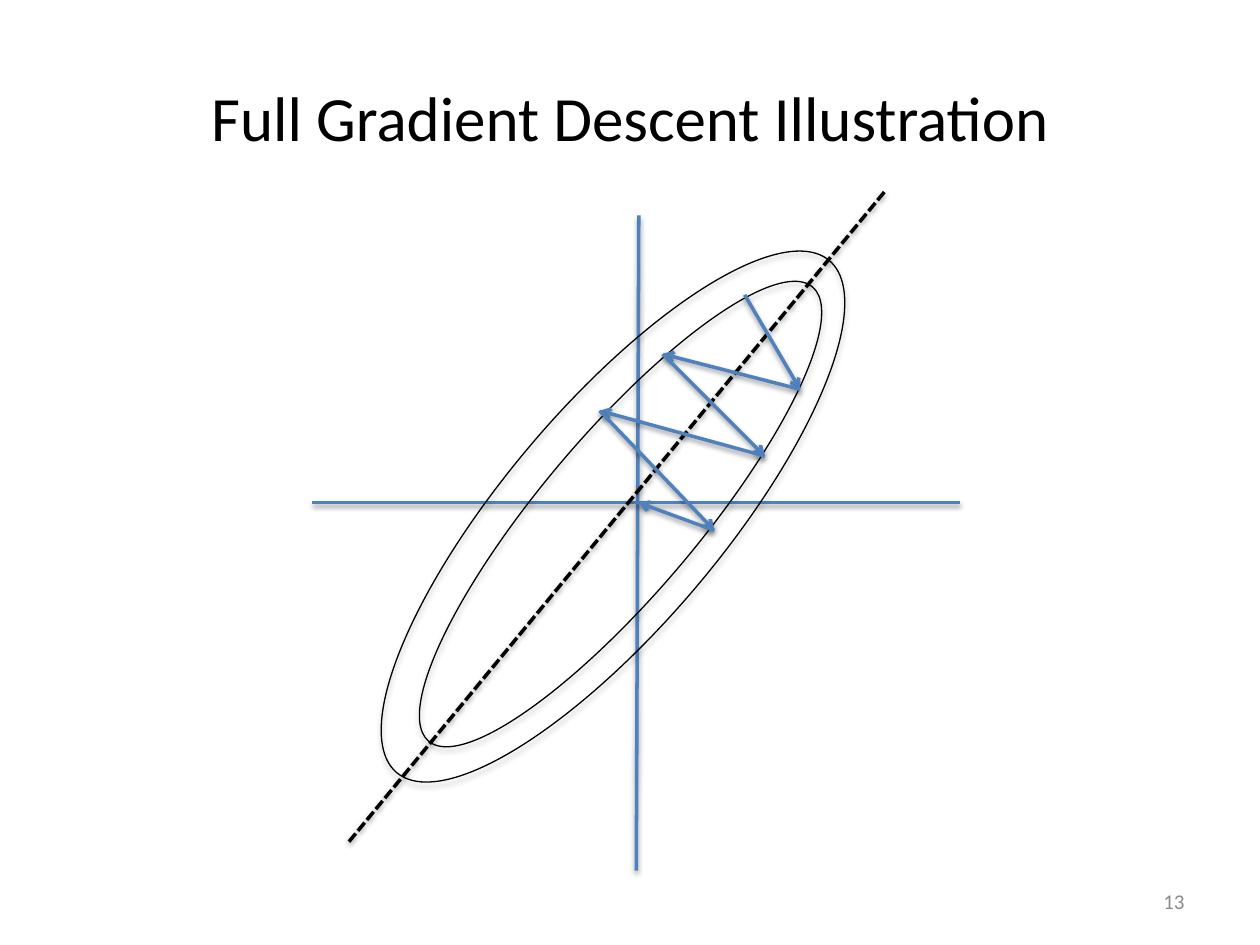
from itertools import pairwise
from lxml import etree
from pptx import Presentation
from pptx.dml.color import RGBColor
from pptx.enum import dml, shapes, text
from pptx.oxml import ns
from pptx.util import Inches, Pt

COLORS = {"axis": "4F81BD", "ink": "000000", "number": "8C8C8C"}
TITLE = "Full Gradient Descent Illustration"
NUMBER = "13"
AXES = [((5.07, 1.71), (5.05, 6.91)), ((2.48, 3.99), (7.62, 3.99))]
CONTOURS = [(4, 1.44, 1.73, 5.32), (4.3, 1.72, 1.25, 4.72)]
TILT = 40.2
VALLEY = ((2.77, 6.68), (7.03, 1.51))
DESCENT = [(5.91, 2.34), (6.35, 3.09), (5.26, 2.81), (6.07, 3.62),
           (4.76, 3.26), (5.67, 4.21), (5.07, 3.99)]


def color(name):
    return RGBColor.from_string(COLORS[name])


def add_shadow(sp, alpha, dist):
    effects = etree.SubElement(sp._element.spPr, ns.qn("a:effectLst"))
    shadow = etree.SubElement(
        effects, ns.qn("a:outerShdw"), blurRad=str(Pt(3.1)), dist=str(Pt(dist)),
        dir="5400000", rotWithShape="0")
    ink = etree.SubElement(shadow, ns.qn("a:srgbClr"), val=COLORS["ink"])
    etree.SubElement(ink, ns.qn("a:alpha"), val=str(alpha * 1000))


def add_line(slide, start, end, name="axis", dash=None, arrow=False):
    sp = slide.shapes.add_connector(
        shapes.MSO_CONNECTOR.STRAIGHT, *map(Inches, start + end))
    sp.line.color.rgb = color(name)
    sp.line.width = Pt(2)
    if dash:
        sp.line.dash_style = dash
    if arrow:
        etree.SubElement(sp.line._get_or_add_ln(), ns.qn("a:tailEnd"), type="arrow")
    add_shadow(sp, 38, 1.6)


def add_contour(slide, box):
    sp = slide.shapes.add_shape(shapes.MSO_SHAPE.OVAL, *map(Inches, box))
    sp.rotation = TILT
    sp.fill.background()
    sp.line.color.rgb = color("ink")
    sp.line.width = Pt(0.75)
    add_shadow(sp, 35, 1.8)


def write(sp, content, box, size, name, align):
    sp.left, sp.top, sp.width, sp.height = map(Inches, box)
    tf = sp.text_frame
    tf.word_wrap = True
    tf.vertical_anchor = text.MSO_ANCHOR.MIDDLE
    p = tf.paragraphs[0]
    p.alignment = align
    r = p.add_run()
    r.text = content
    r.font.name = "Calibri"
    r.font.size = Pt(size)
    r.font.color.rgb = color(name)


def main():
    prs = Presentation()
    prs.slide_width, prs.slide_height = Inches(10), Inches(7.5)
    slide = prs.slides.add_slide(prs.slide_layouts[5])
    write(slide.shapes.title, TITLE, (0.5, 0.3, 9, 1.25), 36, "ink",
          text.PP_ALIGN.CENTER)
    for start, end in AXES:
        add_line(slide, start, end)
    for box in CONTOURS:
        add_contour(slide, box)
    add_line(slide, *VALLEY, name="ink", dash=dml.MSO_LINE.SQUARE_DOT)
    for start, end in pairwise(DESCENT):
        add_line(slide, start, end, arrow=True)
    write(slide.shapes.add_textbox(0, 0, 0, 0), NUMBER, (7.17, 6.95, 2.33, 0.4),
          12, "number", text.PP_ALIGN.RIGHT)
    prs.save("out.pptx")


if __name__ == "__main__":
    main()
